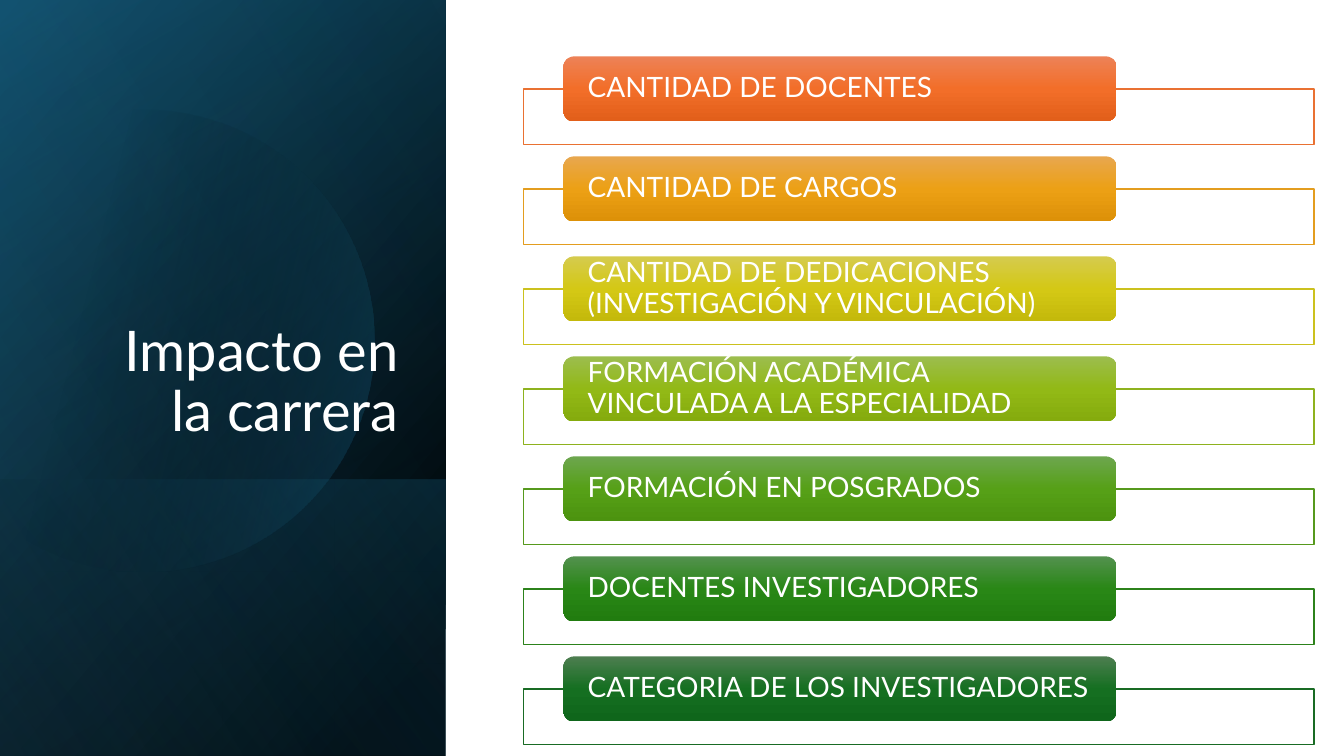
"""Builds the slide on the impact on the degree course, with seven labelled bars."""
import math

from lxml import etree
from pptx import Presentation
from pptx.dml.color import RGBColor
from pptx.enum.shapes import MSO_SHAPE
from pptx.enum.text import MSO_ANCHOR, PP_ALIGN
from pptx.oxml.ns import qn
from pptx.util import Cm, Pt

RECT, ROUND = MSO_SHAPE.RECTANGLE, MSO_SHAPE.ROUNDED_RECTANGLE
LEFT, RIGHT = PP_ALIGN.LEFT, PP_ALIGN.RIGHT
MIDDLE, BOTTOM = MSO_ANCHOR.MIDDLE, MSO_ANCHOR.BOTTOM

WHITE = RGBColor(0xFF, 0xFF, 0xFF)
BLACK = RGBColor(0x00, 0x00, 0x00)
NAVY = RGBColor(0x10, 0x48, 0x62)
TEAL = RGBColor(0x15, 0x60, 0x82)
SKY = RGBColor(0x46, 0xB1, 0xE1)
ORANGE = [RGBColor(0xE9, 0x71, 0x32), RGBColor(0xED, 0x82, 0x57),
          RGBColor(0xF2, 0x6E, 0x29), RGBColor(0xE2, 0x5F, 0x1A)]
AMBER = [RGBColor(0xE3, 0x9D, 0x1F), RGBColor(0xE8, 0xA7, 0x4F),
         RGBColor(0xEC, 0xA0, 0x15), RGBColor(0xDD, 0x91, 0x08)]
YELLOW = [RGBColor(0xCB, 0xC1, 0x1E), RGBColor(0xD5, 0xCB, 0x4E),
          RGBColor(0xD4, 0xC8, 0x15), RGBColor(0xC4, 0xB9, 0x0B)]
LIME = [RGBColor(0x8E, 0xB2, 0x1E), RGBColor(0x9C, 0xBD, 0x4E),
        RGBColor(0x92, 0xB9, 0x16), RGBColor(0x85, 0xAB, 0x0D)]
LEAF = [RGBColor(0x56, 0x99, 0x1D), RGBColor(0x6D, 0xA6, 0x4E),
        RGBColor(0x56, 0xA0, 0x17), RGBColor(0x4C, 0x93, 0x0F)]
GREEN = [RGBColor(0x2C, 0x82, 0x1B), RGBColor(0x53, 0x91, 0x4E),
         RGBColor(0x29, 0x87, 0x16), RGBColor(0x21, 0x7C, 0x0F)]
FOREST = [RGBColor(0x19, 0x6B, 0x24), RGBColor(0x4D, 0x7E, 0x50),
          RGBColor(0x15, 0x6F, 0x21), RGBColor(0x0F, 0x66, 0x1B)]

TOPICS = [
    ("CANTIDAD DE DOCENTES", ORANGE),
    ("CANTIDAD DE CARGOS", AMBER),
    ("CANTIDAD DE DEDICACIONES (INVESTIGACIÓN Y VINCULACIÓN)", YELLOW),
    ("FORMACIÓN ACADÉMICA VINCULADA A LA ESPECIALIDAD", LIME),
    ("FORMACIÓN EN POSGRADOS", LEAF),
    ("DOCENTES INVESTIGADORES", GREEN),
    ("CATEGORIA DE LOS INVESTIGADORES", FOREST),
]
SLIDE_W, SLIDE_H = 33.87, 19.05
PANEL_W, STRIP_H = 11.23, 6.96
ROW_STEP = 2.52


class Deck:
    """Holds the font and the current slide."""

    font = "Lato"

    def __init__(self, s):
        self.s = s

    def gradient(self, sp, stops, angle):
        """Fills a shape with (position, colour, opacity) stops."""
        sp.shadow.inherit = False
        sp.line.fill.background()
        sp.fill.gradient()
        sp.fill.gradient_angle = 360 - angle
        stop_list = sp._element.spPr.find(qn("a:gradFill")).find(qn("a:gsLst"))
        for old in list(stop_list):
            stop_list.remove(old)
        for pos, color, opacity in stops:
            gs = etree.SubElement(stop_list, qn("a:gs"), pos=str(pos * 1000))
            clr = etree.SubElement(gs, qn("a:srgbClr"), val=str(color))
            if opacity < 100:
                etree.SubElement(clr, qn("a:alpha"), val=str(opacity * 1000))

    def panel(self, top, height, stops, angle):
        """Adds a mirrored rectangle on its side along the left edge."""
        shift = (PANEL_W - height) / 2
        sp = self.s.shapes.add_shape(RECT, Cm(shift), Cm(top - shift),
                                     Cm(height), Cm(PANEL_W))
        sp.rotation = 90
        sp._element.spPr.find(qn("a:xfrm")).set("flipH", "1")
        self.gradient(sp, stops, angle)

    def cut_disc(self, cx, cy, radius, cut_x, stops, angle):
        """Adds a disc cut by a vertical line on its left."""
        half = math.acos((cut_x - cx) / radius)
        turns = [half * (i / 40 - 1) for i in range(81)]
        points = [(Cm(cx + radius * math.cos(t)), Cm(cy + radius * math.sin(t)))
                  for t in turns]
        outline = self.s.shapes.build_freeform(*points[0])
        outline.add_line_segments(points[1:], close=True)
        self.gradient(outline.convert_to_shape(), stops, angle)

    def text(self, sp, words, size, align, anchor, inset):
        """Puts one white paragraph in a shape."""
        tf = sp.text_frame
        tf.word_wrap = True
        tf.vertical_anchor = anchor
        tf.margin_left = tf.margin_right = Cm(inset)
        tf.margin_top = tf.margin_bottom = Cm(0.13 if anchor == BOTTOM else 0)
        p = tf.paragraphs[0]
        p.alignment = align
        p.line_spacing = 0.9
        r = p.add_run()
        r.text = words
        r.font.name = self.font
        r.font.size = Pt(size)
        r.font.color.rgb = WHITE

    def title(self, words, x, y, w, h):
        """Adds the slide title."""
        sp = self.s.shapes.add_textbox(Cm(x), Cm(y), Cm(w), Cm(h))
        self.text(sp, words, 40, RIGHT, BOTTOM, 0.25)

    def frame(self, x, y, w, h, color):
        """Adds a white box with a coloured outline."""
        sp = self.s.shapes.add_shape(RECT, Cm(x), Cm(y), Cm(w), Cm(h))
        sp.shadow.inherit = False
        sp.fill.solid()
        sp.fill.fore_color.rgb = WHITE
        sp.line.color.rgb = color
        sp.line.width = Pt(1)

    def label(self, words, x, y, w, h, shades):
        """Adds a rounded label shaded from top to bottom."""
        sp = self.s.shapes.add_shape(ROUND, Cm(x), Cm(y), Cm(w), Cm(h))
        stops = [(50 * i, color, 100) for i, color in enumerate(shades)]
        self.gradient(sp, stops, 90)
        self.text(sp, words, 20, LEFT, MIDDLE, 0.53)


def main():
    prs = Presentation()
    prs.slide_width, prs.slide_height = Cm(SLIDE_W), Cm(SLIDE_H)
    deck = Deck(prs.slides.add_slide(prs.slide_layouts[6]))

    deck.panel(0, SLIDE_H, [(8, BLACK, 100), (100, NAVY, 100)], 50)
    deck.panel(0, SLIDE_H, [(0, BLACK, 0), (99, TEAL, 46)], 30)
    deck.panel(SLIDE_H - STRIP_H, STRIP_H,
               [(2, TEAL, 29), (100, BLACK, 30)], 130)
    deck.cut_disc(3.63, 8.58, 5.81, -0.38, [(29, BLACK, 0), (100, TEAL, 43)], 14)
    deck.panel(0, SLIDE_H, [(0, BLACK, 0), (99, SKY, 11)], 120)
    deck.title("Impacto en la carrera", 1.63, 4.67, 8.66, 6.65)

    for i, (words, (edge, *shades)) in enumerate(TOPICS):
        y = 1.42 + i * ROW_STEP
        deck.frame(13.2, y + 0.82, 19.92, 1.4, edge)
        deck.label(words, 14.2, y, 13.94, 1.64, shades)
    prs.save("out.pptx")


if __name__ == "__main__":
    main()
